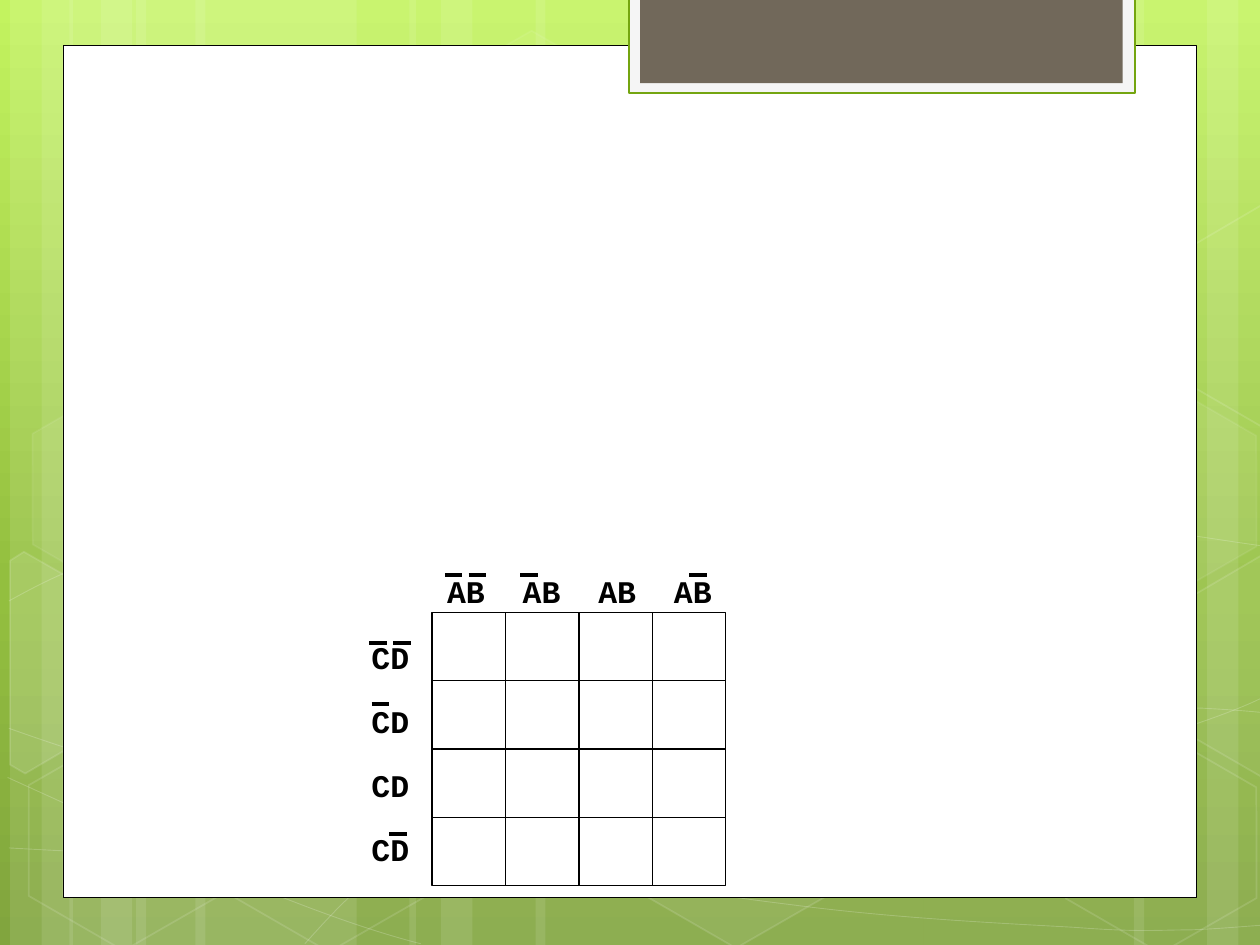
from copy import deepcopy

from lxml import etree
from pptx import Presentation
from pptx.dml.color import RGBColor
from pptx.enum.shapes import MSO_CONNECTOR, MSO_SHAPE
from pptx.oxml.ns import qn
from pptx.util import Inches, Pt

RECT, HEX = MSO_SHAPE.RECTANGLE, MSO_SHAPE.HEXAGON
LINE = MSO_CONNECTOR.STRAIGHT
UNIT = Inches(1)  # the slide is a grid of 10 columns by 7.5 rows
COLS, ROWS = 10, 7.5
INK = {"white": "FFFFFF", "black": "000000", "pale": "F5F5F5", "green": "74A510",
       "brown": "71685A", "top": "C3F35F", "mid": "93BF3F", "low": "81A53E"}

deck = Presentation()
deck.slide_width, deck.slide_height = int(COLS * UNIT), int(ROWS * UNIT)
slide = deck.slides.add_slide(deck.slide_layouts[6])
shapes = slide.shapes


def paint(item, fill=None, line=None, width=1, clear=100, faint=100):
    """Set fill and line; clear and faint are their opacities in percent."""
    parts = [(item.line.fill, line, faint)]
    if hasattr(item, "fill"):
        item.shadow.inherit = False
        parts.append((item.fill, fill, clear))
    else:
        etree.SubElement(item._element.spPr, qn("a:effectLst"))
    for part, tint, share in parts:
        if tint is None:
            part.background()
            continue
        part.solid()
        part.fore_color.rgb = RGBColor.from_string(INK[tint])
        if share < 100:
            root = item.line._ln if part is parts[0][0] else item._element.spPr.find(qn("a:solidFill"))
            tone = next(root.iter(qn("a:srgbClr")))
            etree.SubElement(tone, qn("a:alpha")).set("val", str(share * 1000))
    if line:
        item.line.width = Pt(width)


def write(box, rows, size=18, font="Courier New", tint="black", bold=True,
          lead=None, gap=0, tabs=()):
    frame = shapes.add_textbox(*[int(v * UNIT) for v in box]).text_frame
    frame.word_wrap = False
    for i, row in enumerate(rows):
        para = frame.add_paragraph() if i else frame.paragraphs[0]
        para.line_spacing, para.space_after = lead, Pt(gap)
        if tabs:
            stops = etree.SubElement(para._p.get_or_add_pPr(), qn("a:tabLst"))
            for stop in tabs:
                etree.SubElement(stops, qn("a:tab"), pos=str(int(stop * UNIT)), algn="l")
        run = para.add_run()
        run.text = row
        run.font.size, run.font.name, run.font.bold = Pt(size), font, bold
        run.font.color.rgb = RGBColor.from_string(INK[tint])


# Background gradient
back = slide.background.fill
back.gradient()
back.gradient_angle = 270
stops = slide._element.find(".//" + qn("a:gsLst"))
stops.append(deepcopy(stops[-1]))
for stop, tint, place in zip(back.gradient_stops, ("top", "mid", "low"), (0, 0.62, 1)):
    stop.color.rgb = RGBColor.from_string(INK[tint])
    stop.position = place

# Light vertical bands: left, width
bands = [(1.08, 1.75), (0.08, 0.5), (0.33, 0.83), (1.55, 1.75), (0.55, 0.5), (0.8, 0.83),
         (7.33, 1.75), (9.58, 0.5), (9, 0.83), (4.25, 3.08), (3.25, 0.5), (3.5, 0.83)]
for left, wide in bands:
    band = shapes.add_shape(RECT, int(left * UNIT), 0, int(wide * UNIT), int(ROWS * UNIT))
    paint(band, "white", clear=10)

# Thin curves: a start point, then three points for each Bezier piece
curves = [
    [(0.07, 6.73), (0.61, 6.76), (1.15, 6.79), (1.9, 6.78), (2.65, 6.77), (3.58, 6.75),
     (4.58, 6.65), (5.58, 6.55), (7, 6.36), (7.92, 6.17), (8.83, 5.98), (9.77, 5.68),
     (10.07, 5.51)],
    [(0.07, 4.77), (0.36, 4.61), (0.65, 4.46), (1.21, 4.31), (1.78, 4.16), (2.59, 3.94),
     (3.47, 3.87), (4.36, 3.8), (5.44, 3.79), (6.54, 3.87), (7.64, 3.95), (9.47, 4.26),
     (10.07, 4.34)],
    [(0.06, 6.17), (1.27, 6.72), (2.47, 7.27), (3.34, 7.49)],
    [(0.07, 5.78), (0.38, 5.89), (0.7, 6), (1.28, 6.16), (1.86, 6.31), (2.73, 6.56),
     (3.57, 6.73), (4.4, 6.9), (5.45, 7.08), (6.28, 7.18), (7.11, 7.29), (8, 7.33),
     (8.53, 7.36), (9.05, 7.4), (9.19, 7.38), (9.45, 7.38), (9.71, 7.37), (9.89, 7.35),
     (10.07, 7.34)],
    [(2.42, 7.49), (2.6, 7.29), (2.78, 7.09), (3.02, 6.91), (3.26, 6.73), (3.6, 6.53),
     (3.88, 6.39), (4.16, 6.25), (4.33, 6.19), (4.7, 6.09), (5.06, 5.99), (5.73, 5.85),
     (6.08, 5.78), (6.44, 5.71), (6.49, 5.71), (6.8, 5.69), (7.11, 5.66), (7.6, 5.63),
     (7.94, 5.62), (8.29, 5.61), (8.86, 5.62), (8.86, 5.62), (9.08, 5.62), (9.31, 5.62),
     (9.53, 5.62), (9.71, 5.63), (9.88, 5.64), (10.06, 5.66)],
]
for curve in curves:
    dots = [(x * UNIT, y * UNIT) for x, y in curve]
    pen = shapes.build_freeform(*dots[0])
    pen.add_line_segments(dots[1:], close=False)
    wave = pen.convert_to_shape()
    trace = wave._element.find(".//" + qn("a:path"))
    legs = trace.findall(qn("a:lnTo"))
    for k in range(0, len(legs), 3):
        bend = etree.SubElement(trace, qn("a:cubicBezTo"))
        for leg in legs[k:k + 3]:
            bend.append(leg[0])
            trace.remove(leg)
    paint(wave, line="white", width=0.5, faint=20)

# Hexagons: left, top, fill opacity, line opacity
cells = [(3.34, 0.36, 4, 8), (4.97, 5.89, 6, 12), (0.11, 5.91, 0, 12), (0.14, 3.12, 7, 8),
         (1.74, 5.92, 0, 12), (7.53, 4.53, 10, 12), (8.34, 5.93, 0, 12), (8.34, 3.14, 7, 8)]
for left, top, clear, faint in cells:
    cell = shapes.add_shape(HEX, *[int(v * UNIT) for v in (left, top, 1.75, 1.52)])
    cell.rotation = 30
    cell.adjustments[0] = 0.29
    paint(cell, "white" if clear else None, "white", clear=clear, faint=faint)

# Hexagons cut by the slide's edge: fill opacity, corners
cuts = [
    (10, [(0.08, 4.45), (0.19, 4.38), (0.96, 4.82), (0.95, 5.7), (0.2, 6.14), (0.08, 6.07)]),
    (4, [(9.26, 4.85), (10.01, 4.41), (10.09, 4.46), (10.09, 6.13), (10.02, 6.17), (9.26, 5.73)]),
    (0, [(9.26, 2.07), (10.01, 1.63), (10.1, 1.68), (10.09, 3.35), (10.02, 3.39), (9.26, 2.95)]),
]
for clear, dots in cuts:
    dots = [(x * UNIT, y * UNIT) for x, y in dots]
    pen = shapes.build_freeform(*dots[0])
    pen.add_line_segments(dots[1:])
    paint(pen.convert_to_shape(), "white" if clear else None, "white", clear=clear, faint=12)

# White page and the tab at its top
panels = [((0.5, 0.36, 9, 6.76), "white", "black", 0.5),
          ((4.99, -0.02, 4.02, 0.76), "pale", "green", 1.25),
          ((5.08, -0.02, 3.83, 0.68), "brown", None, 0)]
for box, fill, line, width in panels:
    paint(shapes.add_shape(RECT, *[int(v * UNIT) for v in box]), fill, line, width)

# Karnaugh map: labels, bars over negated letters, 4 by 4 grid
write((3.45, 4.49, 2.44, 0.4), ["\t".join(["AB"] * 4)], tabs=(0.6, 1.2, 1.8))
write((2.85, 5.06, 0.5, 1.89), ["CD"] * 4, lead=0.85, gap=18.2)

BAR = 0.14
bars = [(2.95, 5.59), (3.12, 5.1), (2.93, 5.1), (5.47, 4.56),
        (4.13, 4.56), (3.72, 4.56), (3.53, 4.56), (3.09, 6.62)]
for x, y in bars:
    ends = [int(v * UNIT) for v in (x, y, x + BAR, y)]
    paint(shapes.add_connector(LINE, *ends), line="black", width=2.25)

SIZE = 4
left, top, wide, high = 3.43, 4.86, 2.33 / SIZE, 2.17 / SIZE
grid = shapes.add_group_shape()
for row in reversed(range(SIZE)):
    for col in range(SIZE):
        box = (left + col * wide, top + row * high, wide, high)
        paint(grid.shapes.add_shape(RECT, *[int(v * UNIT) for v in box]), line="black", width=0.75)

deck.save("out.pptx")
